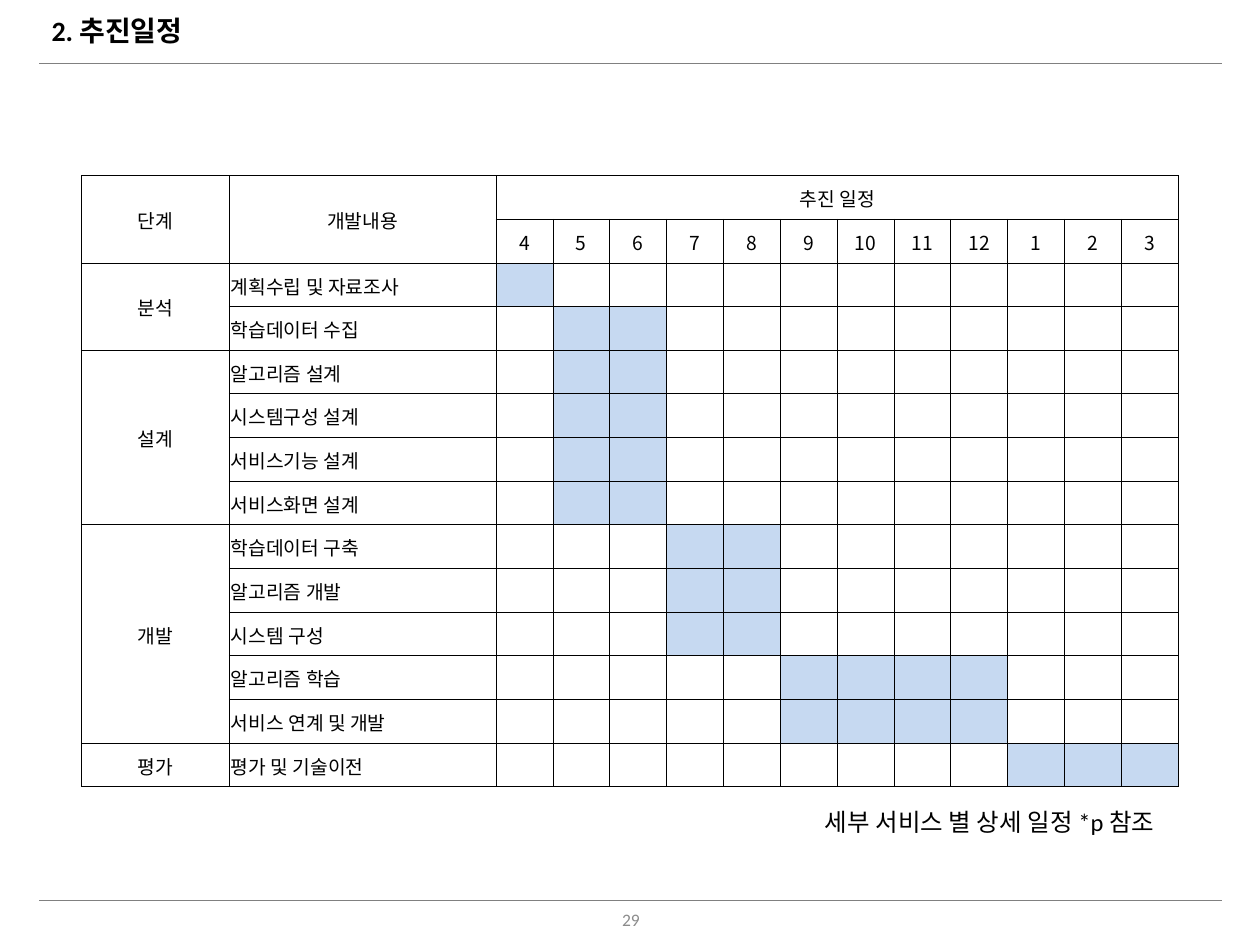
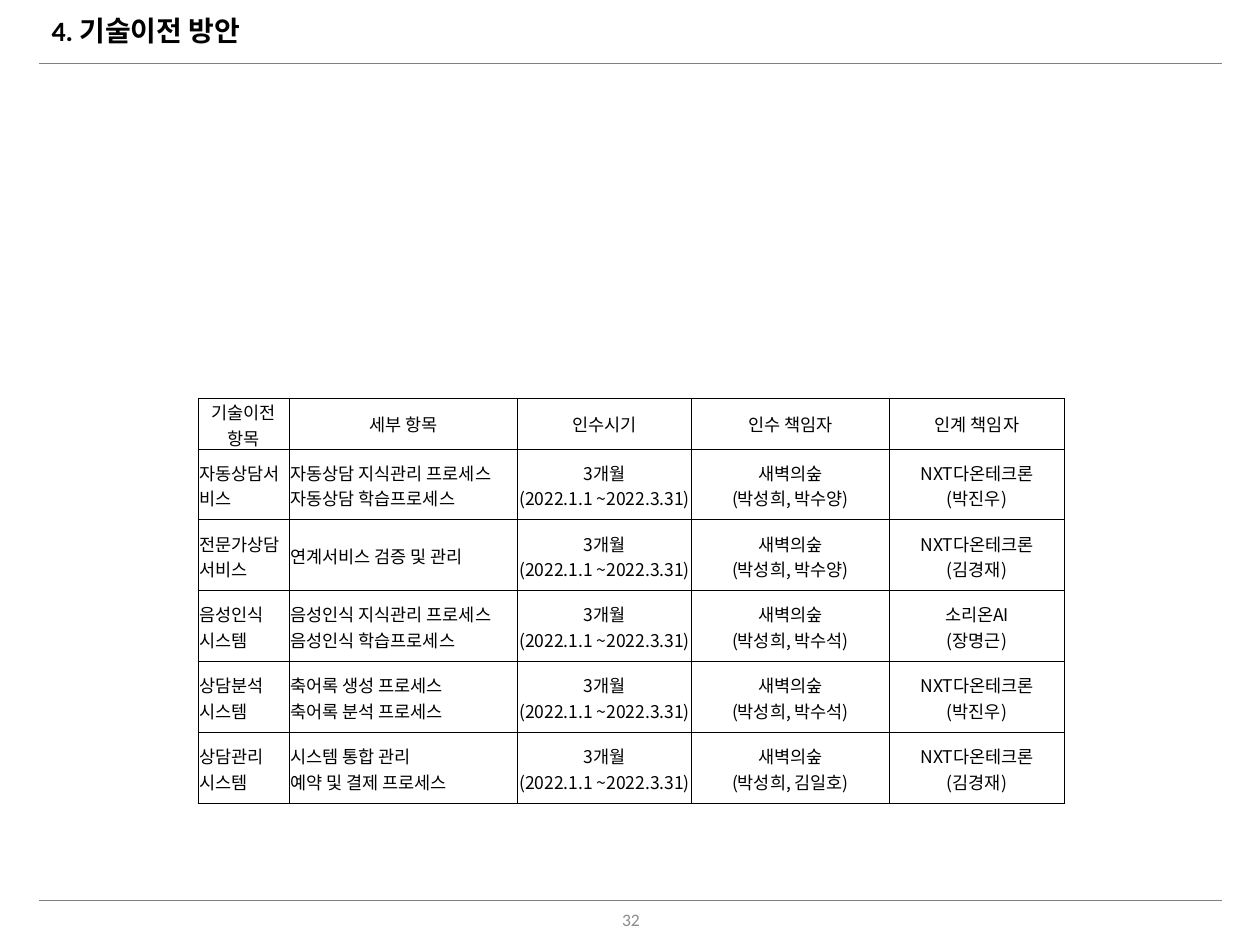
from lxml.etree import SubElement as Sub
from pptx import Presentation
from pptx.dml.color import RGBColor
from pptx.enum.shapes import MSO_CONNECTOR as Conn
from pptx.enum.text import MSO_ANCHOR as Anchor, PP_ALIGN as Align
from pptx.oxml.ns import qn
from pptx.util import Cm, Pt

BLACK = RGBColor(0x00, 0x00, 0x00)
GRAY = RGBColor(0x80, 0x80, 0x80)
PALE = RGBColor(0x8C, 0x8C, 0x8C)
BLUE = RGBColor(0xC6, 0xD9, 0xF1)
LATIN, HANGUL = "Calibri", "Noto Sans CJK KR"

# Stage, its tasks, and the first and last month column of each task
PLAN = [
    ("분석", [("계획수립 및 자료조사", 0, 0), ("학습데이터 수집", 1, 2)]),
    ("설계", [("알고리즘 설계", 1, 2), ("시스템구성 설계", 1, 2),
            ("서비스기능 설계", 1, 2), ("서비스화면 설계", 1, 2)]),
    ("개발", [("학습데이터 구축", 3, 4), ("알고리즘 개발", 3, 4),
            ("시스템 구성", 3, 4), ("알고리즘 학습", 5, 8),
            ("서비스 연계 및 개발", 5, 8)]),
    ("평가", [("평가 및 기술이전", 9, 11)]),
]
MONTHS = [*range(4, 13), *range(1, 4)]

# Item, details, people taking over, firm and person handing over
HEADS = ["기술이전 항목", "세부 항목", "인수시기", "인수 책임자", "인계 책임자"]
TERM = "3개월\n(2022.1.1 ~2022.3.31)"
TAKER, MAKER, VOICE = "새벽의숲", "NXT다온테크론", "소리온AI"
ITEMS = [
    ("자동상담서비스", "자동상담 지식관리 프로세스\v자동상담 학습프로세스",
     "박성희, 박수양", MAKER, "박진우"),
    ("전문가상담 서비스", "연계서비스 검증 및 관리",
     "박성희, 박수양", MAKER, "김경재"),
    ("음성인식 시스템", "음성인식 지식관리 프로세스\v음성인식 학습프로세스",
     "박성희, 박수석", VOICE, "장명근"),
    ("상담분석 시스템", "축어록 생성 프로세스\v축어록 분석 프로세스",
     "박성희, 박수석", MAKER, "박진우"),
    ("상담관리 시스템", "시스템 통합 관리\v예약 및 결제 프로세스",
     "박성희, 김일호", MAKER, "김경재"),
]


def write(frame, text, size=11, font=HANGUL, color=BLACK, bold=False,
          align=Align.LEFT, space=None):
    """Fill a frame: a newline starts a paragraph, \\v breaks a line."""
    frame.word_wrap = True
    for i, line in enumerate(text.split("\n")):
        para = frame.add_paragraph() if i else frame.paragraphs[0]
        para.text = line
        para.alignment = align
        para.line_spacing = space
        for run in para.runs:
            run.font.name, run.font.size = font, Pt(size)
            run.font.bold, run.font.color.rgb = bold, color
            Sub(run.font._element, qn("a:ea"), typeface=HANGUL)
        # Breaks and empty cells keep the same size as the text
        for gap in para._p.findall(qn("a:br")):
            Sub(gap, qn("a:rPr"), sz=str(size * 100))
        if not line:
            Sub(para._p, qn("a:endParaRPr"), sz=str(size * 100))


def label(slide, box, text, anchor=Anchor.MIDDLE, **style):
    frame = slide.shapes.add_textbox(*map(Cm, box)).text_frame
    frame.vertical_anchor = anchor
    write(frame, text, **style)


def rule(slide, left, top, width):
    line = slide.shapes.add_connector(
        Conn.STRAIGHT, Cm(left), Cm(top), Cm(left + width), Cm(top))
    line.line.color.rgb, line.line.width = GRAY, Pt(0.25)
    Sub(line._element.spPr, qn("a:effectLst"))


def page(deck, title, number):
    """Add a slide with its title, two rules and page number."""
    slide = deck.slides.add_slide(deck.slide_layouts[6])
    for top in (1.27, 18.14):
        rule(slide, 0.79, top, 23.85)
    label(slide, (0.79, 0.15, 23.85, 0.99), title, size=16, font=LATIN,
          bold=True, space=0.9)
    label(slide, (11.73, 18.26, 1.98, 0.56), number, size=10, font=LATIN,
          color=PALE, align=Align.CENTER)
    return slide


def put(cell, text="", fill=None, **style):
    """Write one cell with thin black edges."""
    cell.vertical_anchor = Anchor.MIDDLE
    cell.margin_left = cell.margin_right = cell.margin_top = Cm(0.03)
    cell.margin_bottom = 0
    write(cell.text_frame, text, **style)
    props = cell._tc.get_or_add_tcPr()
    for side in ("lnL", "lnR", "lnT", "lnB"):
        edge = Sub(props, qn("a:" + side), w=str(Pt(0.5)))
        Sub(Sub(edge, qn("a:solidFill")), qn("a:srgbClr"), val=str(BLACK))
    if fill:
        cell.fill.solid()
        cell.fill.fore_color.rgb = fill
    else:
        cell.fill.background()


def grid(slide, left, top, cols, rows):
    table = slide.shapes.add_table(
        len(rows), len(cols), Cm(left), Cm(top),
        Cm(sum(cols)), Cm(sum(rows))).table
    table.first_row = table.horz_banding = False
    for col, width in zip(table.columns, cols):
        col.width = Cm(width)
    for row, height in zip(table.rows, rows):
        row.height = Cm(height)
    return table


def gantt(slide, left, top, width, height):
    """Schedule chart: stages, tasks and shaded months."""
    stage, task = 2.97, 5.38
    count = 2 + sum(len(tasks) for _, tasks in PLAN)
    month = (width - stage - task) / len(MONTHS)
    table = grid(slide, left, top, [stage, task] + [month] * len(MONTHS),
                 [height / count] * count)
    texts = {(0, 0): "단계", (0, 1): "개발내용", (0, 2): "추진 일정"}
    texts.update({(1, 2 + i): str(m) for i, m in enumerate(MONTHS)})
    spans = [(0, 0, 1, 0), (0, 1, 1, 1), (0, 2, 0, 1 + len(MONTHS))]
    busy = set()
    row = 2
    for name, tasks in PLAN:
        texts[row, 0] = name
        if len(tasks) > 1:
            spans.append((row, 0, row + len(tasks) - 1, 0))
        for text, first, last in tasks:
            texts[row, 1] = text
            busy.update((row, 2 + i) for i in range(first, last + 1))
            row += 1
    for r in range(count):
        for c in range(2 + len(MONTHS)):
            put(table.cell(r, c), texts.get((r, c), ""),
                fill=BLUE if (r, c) in busy else None,
                align=Align.LEFT if c == 1 and r > 1 else Align.CENTER)
    for r, c, end, edge in spans:
        table.cell(r, c).merge(table.cell(end, edge))


def handover(slide, left, top):
    """Transfer items with term and people in charge."""
    table = grid(slide, left, top, [1.84, 4.6, 3.51, 3.99, 3.53],
                 [1.02] + [1.43] * len(ITEMS))
    lines = [HEADS] + [
        (item, parts, TERM, f"{TAKER}\v({takers})", f"{firm}\v({giver})")
        for item, parts, takers, firm, giver in ITEMS]
    for r, line in enumerate(lines):
        for c, text in enumerate(line):
            put(table.cell(r, c), text, size=10,
                align=Align.LEFT if r and c < 2 else Align.CENTER)


def main():
    deck = Presentation()
    deck.slide_width, deck.slide_height = Cm(25.4), Cm(19.05)

    # Schedule
    slide = page(deck, "2. 추진일정", "29")
    gantt(slide, 1.65, 3.54, 22.11, 12.32)
    label(slide, (13.72, 16.15, 9.8, 0.86), "세부 서비스 별 상세 일정 *p 참조",
          anchor=Anchor.TOP, size=14, font=LATIN, align=Align.RIGHT)

    # Technology transfer
    slide = page(deck, "4. 기술이전 방안", "32")
    handover(slide, 3.99, 8.03)

    deck.save("out.pptx")


if __name__ == "__main__":
    main()
